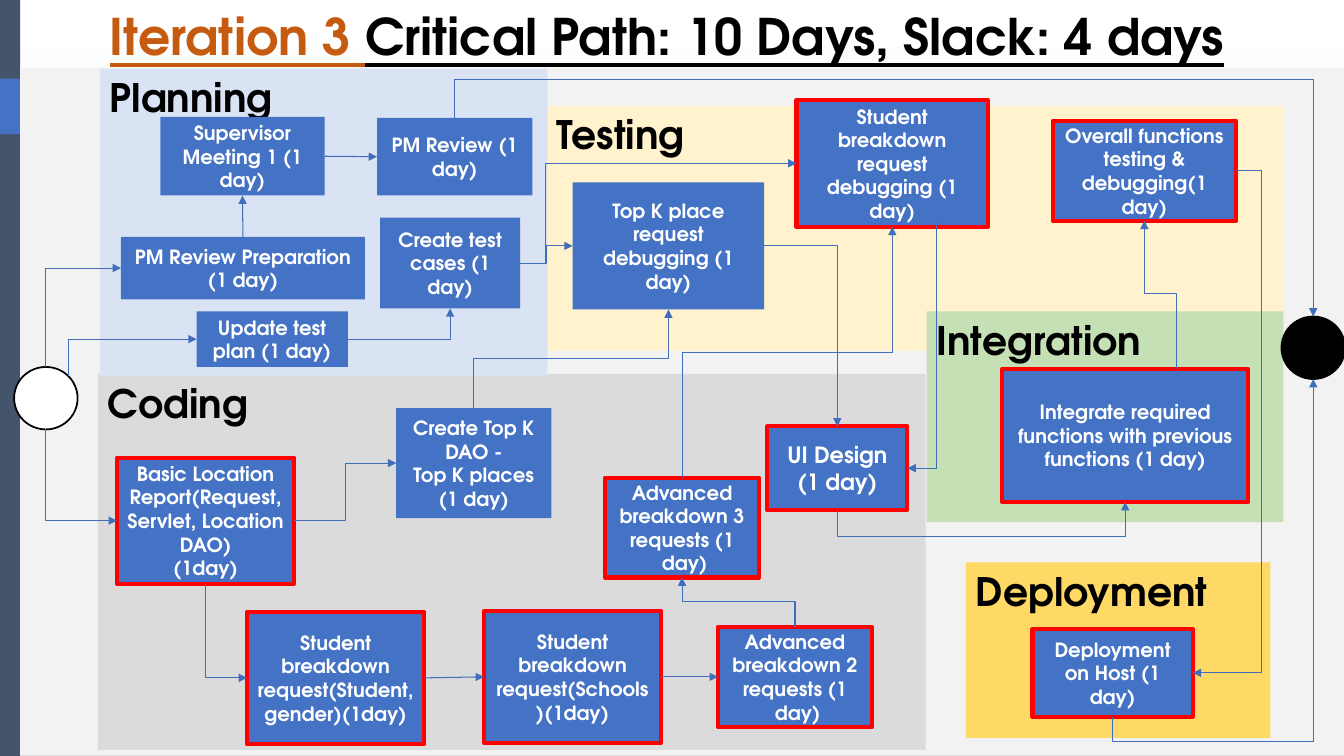
from lxml import etree
from pptx import Presentation
from pptx.dml.color import RGBColor
from pptx.enum.shapes import MSO_CONNECTOR, MSO_SHAPE
from pptx.enum.text import MSO_ANCHOR, PP_ALIGN
from pptx.oxml.ns import qn
from pptx.util import Inches, Pt

RECT, OVAL = MSO_SHAPE.RECTANGLE, MSO_SHAPE.OVAL
LINE, ELBOW = MSO_CONNECTOR.STRAIGHT, MSO_CONNECTOR.ELBOW
LEFT, CENTER = PP_ALIGN.LEFT, PP_ALIGN.CENTER
TOP, MIDDLE = MSO_ANCHOR.TOP, MSO_ANCHOR.MIDDLE

# Every box and lane is given in cells of a 1333 by 750 grid.
COLS, ROWS = 1333, 750
CELL = Inches(0.01)
FONT = "TeX Gyre Adventor"
COLORS = {
    "white": "FFFFFF", "black": "000000", "mist": "E1DFDF", "panel": "F2F2F2",
    "slate": "44546A", "blue": "4472C4", "wire": "416DBB", "red": "FF0000",
    "rust": "C55A11", "gray": "DBDBDB", "cream": "FFF2CC", "sky": "DAE3F3",
    "green": "C5E0B4", "gold": "FFD966",
}

# Phase: name, fill, box, then cards as key: (offset and size, text, critical, points)
PHASES = [
    ("Coding", "gray", (97, 371, 821, 373), {
        "dao": ((296, 34, 154, 109), "Create Top K DAO -\nTop K places\n(1 day)", False, 14),
        "ui": ((664, 52, 139, 83), "UI Design (1 day)", True, 16),
        "basic": ((19, 83, 176, 125),
                  "Basic Location Report(Request, Servlet, Location DAO)\n(1day)", True, 14),
        "gender": ((148, 236, 176, 131),
                   "Student breakdown request(Student, gender)(1day)", True, 14),
        "school": ((383, 235, 176, 131),
                   "Student breakdown request(Schools)(1day)", True, 14),
        "adv2": ((615, 251, 153, 99), "Advanced breakdown 2 requests (1\n day)", True, 14),
        "adv3": ((503, 103, 153, 99), "Advanced breakdown 3 requests (1\n day)", True, 14),
    }),
    ("Testing", "cream", (542, 105, 731, 243), {
        "all": ((502, 15, 182, 99), "Overall functions testing & debugging(1 day)", True, 14),
        "debug": ((248, -6, 190, 126),
                  "Student breakdown request debugging (1 day)", True, 14),
        "topk": ((26, 76, 190, 126), "Top K place request debugging (1 day)", False, 14),
    }),
    ("Planning", "sky", (99, 68, 444, 305), {
        "plan": ((96, 241, 150, 55), "Update test plan (1 day)", False, 14),
        "cases": ((278, 148, 139, 90), "Create test cases (1 day)", False, 14),
        "prep": ((21, 167, 242, 62), "PM Review Preparation (1 day)", False, 14),
        "review": ((275, 49, 154, 77), "PM Review (1 day)", False, 14),
        "meet": ((60, 48, 163, 78), "Supervisor Meeting 1 (1 day)", False, 14),
    }),
    ("Integration", "green", (919, 309, 354, 209), {
        "join": ((75, 57, 244, 132),
                 "Integrate required functions with previous functions (1 day)", True, 14),
    }),
    ("Deployment", "gold", (958, 558, 302, 174), {
        "ship": ((66, 66, 159, 87), "Deployment on Host (1 day)", True, 14),
    }),
]
NODES = {"start": ((14, 364, 63, 62), "white"), "end": ((1271, 314, 63, 62), "black")}

# Points on a box as shares of its width and height
SIDES = {"T": (0.5, 0), "B": (0.5, 1), "L": (0, 0.5), "R": (1, 0.5),
         "NE": (0.85, 0.15), "TR": (0.71, 0), "BR": (0.73, 0.96)}
STEPS = [("meet", "R", "review", "L"), ("prep", "T", "meet", "B"),
         ("gender", "R", "school", "L"), ("school", "R", "adv2", "L")]
# One corner, no lane
TURNS = [("start", "B", "basic", "L"), ("start", "NE", "plan", "L"),
         ("start", "T", "prep", "L"), ("plan", "R", "cases", "B"),
         ("basic", "B", "gender", "L"), ("topk", "R", "ui", "T"),
         ("debug", "BR", "ui", "R")]
# Two corners, joined along a lane
LANES = [("review", "T", "end", "T", 79), ("all", "R", "ship", "R", 1251),
         ("ship", "B", "end", "B", 736), ("cases", "R", "topk", "L", 542),
         ("cases", "R", "debug", "L", 541), ("basic", "R", "dao", "L", 343),
         ("adv2", "T", "adv3", "B", 597), ("dao", "T", "topk", "B", 356),
         ("adv3", "T", "debug", "B", 350), ("ui", "B", "join", "B", 532),
         ("join", "TR", "all", "B", 291)]


def cells(*nums):
    return [round(n * CELL) for n in nums]


def rgb(name):
    return RGBColor.from_string(COLORS[name])


def draw(slide, kind, box, fill, edge=None, width=0):
    shape = slide.shapes.add_shape(kind, *cells(*box))
    shape.shadow.inherit = False
    shape.fill.solid()
    shape.fill.fore_color.rgb = rgb(fill)
    if edge:
        shape.line.color.rgb = rgb(edge)
        shape.line.width = Pt(width)
    else:
        shape.line.fill.background()
    return shape


def write(para, text, size, color, **more):
    run = para.add_run()
    run.text = text
    run.font.color.rgb = rgb(color)
    form = {"name": FONT, "size": Pt(size), "bold": True, **more}
    for key, val in form.items():
        setattr(run.font, key, val)


def label(shape, text, size, color, align, anchor):
    frame = shape.text_frame
    frame.word_wrap = True
    frame.vertical_anchor = anchor
    for num, line in enumerate(text.split("\n")):
        para = frame.add_paragraph() if num else frame.paragraphs[0]
        para.alignment = align
        write(para, line, size, color)


def frame(slide, box):
    """Draw the backdrop, the side bar with its tab, and the panel."""
    left, top, wide, high = box
    fill = slide.background.fill
    fill.gradient()
    fill.gradient_angle = 270
    for stop, name in zip(fill.gradient_stops, ("white", "mist")):
        stop.color.rgb = rgb(name)
    bar = 20
    draw(slide, RECT, (left, top, bar, high), "slate")
    draw(slide, RECT, (left, top + 78, bar, 55), "blue")
    draw(slide, RECT, (left + bar, top + 67, wide - bar, high - 68), "panel")


def title(slide, box):
    area = slide.shapes.add_textbox(*cells(*box)).text_frame
    area.word_wrap = True
    area.margin_top = Inches(0.05)
    para = area.paragraphs[0]
    para.alignment = CENTER
    write(para, "Iteration 3 ", 36, "rust", underline=True)
    write(para, "Critical Path: 10 Days, Slack: 4 days", 36, "black", underline=True)


def phase(slide, box, name, fill, cards):
    """Draw a phase with its cards and return the box of each card."""
    label(draw(slide, RECT, box, fill), name, 28, "black", LEFT, TOP)
    spots = {}
    for key, ((dx, dy, wide, high), text, crit, size) in cards.items():
        spots[key] = (box[0] + dx, box[1] + dy, wide, high)
        card = draw(slide, RECT, spots[key], "blue", "red" if crit else None, 3)
        label(card, text, size, "white", CENTER, MIDDLE)
    return spots


def point(box, side):
    return [box[i] + box[i + 2] * SIDES[side][i] for i in (0, 1)]


def style(wire):
    wire.line.color.rgb = rgb("wire")
    wire.line.width = Pt(0.75)
    props = wire.element.spPr
    etree.SubElement(props.find(qn("a:ln")), qn("a:tailEnd"), type="triangle")
    etree.SubElement(props, qn("a:effectLst"))


def step(slide, spots, tail, out, head, into):
    ends = point(spots[tail], out) + point(spots[head], into)
    style(slide.shapes.add_connector(LINE, *cells(*ends)))


def bend(slide, spots, tail, out, head, into, lane=None):
    """Join two boxes by an elbow; one that leaves upright is a turned box."""
    x1, y1 = point(spots[tail], out)
    x2, y2 = point(spots[head], into)
    dx, dy = x2 - x1, y2 - y1
    level = out in ("L", "R")
    wide, high = (abs(dx), abs(dy)) if level else (abs(dy), abs(dx))
    left, top = (x1 + x2 - wide) / 2, (y1 + y2 - high) / 2
    wire = slide.shapes.add_connector(ELBOW, *cells(left, top, left + wide, top + high))
    turn, flips = 0, (dx < 0, dy < 0)
    if not level:
        turn, flips = (270, (dy > 0, dx < 0)) if dx * dy > 0 else (90, (dy < 0, dx > 0))
    xfrm = wire.element.spPr.find(qn("a:xfrm"))
    xfrm.set("rot", str(turn * 60000))
    for key, flip in zip(("flipH", "flipV"), flips):
        xfrm.set(key, str(int(flip)))
    geom = wire.element.spPr.find(qn("a:prstGeom"))
    if lane is None:
        geom.set("prst", "bentConnector2")
    else:
        share = (lane - x1) / dx if level else (lane - y1) / dy
        etree.SubElement(geom.find(qn("a:avLst")), qn("a:gd"),
                         name="adj1", fmla=f"val {round(share * 100000)}")
    style(wire)


def main():
    deck = Presentation()
    deck.slide_width, deck.slide_height = cells(COLS, ROWS)
    slide = deck.slides.add_slide(deck.slide_layouts[6])
    frame(slide, (0, 0, COLS, ROWS))
    title(slide, (0, 0, 1323, 67))
    spots = {}
    for name, fill, box, cards in PHASES:
        spots.update(phase(slide, box, name, fill, cards))
    for key, (box, fill) in NODES.items():
        draw(slide, OVAL, box, fill, "black", 1.25)
        spots[key] = box
    for link in STEPS:
        step(slide, spots, *link)
    for link in TURNS + LANES:
        bend(slide, spots, *link)
    deck.save("out.pptx")


if __name__ == "__main__":
    main()
